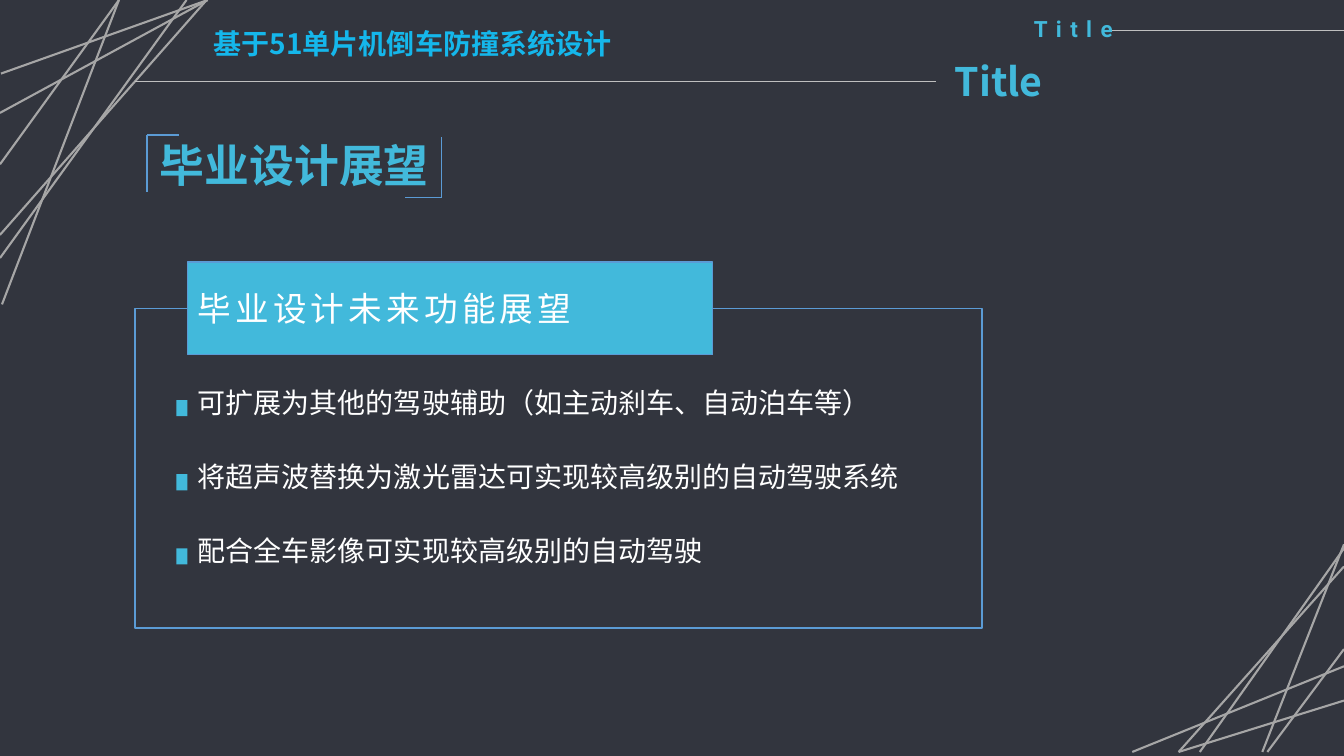
from lxml import etree
from pptx import Presentation
from pptx.dml.color import RGBColor
from pptx.enum.shapes import MSO_CONNECTOR, MSO_SHAPE
from pptx.enum.text import MSO_ANCHOR, MSO_AUTO_SIZE, PP_ALIGN
from pptx.oxml.ns import qn
from pptx.util import Inches, Pt

STRAIGHT = MSO_CONNECTOR.STRAIGHT
RECTANGLE = MSO_SHAPE.RECTANGLE
LEFT, CENTER = PP_ALIGN.LEFT, PP_ALIGN.CENTER
TOP, MIDDLE = MSO_ANCHOR.TOP, MSO_ANCHOR.MIDDLE
NO_FIT = MSO_AUTO_SIZE.NONE

COLORS = {
    "background": "32353E", "cyan": "42B9DB", "topic": "15B7EB",
    "outline": "5B9BD5", "rule": "BFBFBF", "ray": "A6A6A6", "white": "FFFFFF",
}
FONT = "Noto Sans CJK SC"

TOP_LEFT_RAYS = [
    (0, 2.56, 1.85, 0), (0.02, 3.02, 1.18, 0), (0, 2.33, 2.05, 0),
    (0.01, 0.73, 2.06, 0), (0, 1.12, 2.06, 0), (0, 1.63, 1.18, 0),
]
BOTTOM_RIGHT_RAYS = [
    (1.43, 2.06, 0, 0.04), (0.81, 2.06, 0, 0), (1.64, 2.06, 0, 0.22),
    (1.64, 2.06, 0, 1.55), (2.1, 2.06, 0, 1.21), (0.76, 2.06, 0, 1.04),
]
PROSPECTS = [
    "可扩展为其他的驾驶辅助（如主动刹车、自动泊车等）",
    "将超声波替换为激光雷达可实现较高级别的自动驾驶系统",
    "配合全车影像可实现较高级别的自动驾驶",
]


def color(name):
    """Return the palette colour with the given name."""
    return RGBColor.from_string(COLORS[name])


def place(shape, left, top, width, height):
    """Move and size a shape, in inches."""
    shape.left, shape.top = Inches(left), Inches(top)
    shape.width, shape.height = Inches(width), Inches(height)


def write(para, text, size=20, ink="white", bold=False, font=FONT, spacing=0, align=LEFT):
    """Write formatted text into a paragraph."""
    para.alignment = align
    span = para.add_run()
    span.text = text
    span.font.size, span.font.bold, span.font.name = Pt(size), bold, font
    span.font.color.rgb = color(ink)
    properties = span._r.get_or_add_rPr()
    etree.SubElement(properties, qn("a:ea")).set("typeface", FONT)
    if spacing:
        properties.set("spc", str(spacing * 100))


def add_label(page, box, text, **style):
    """Add a text box holding one line."""
    label = page.shapes.add_textbox(*map(Inches, box))
    label.text_frame.word_wrap = True
    write(label.text_frame.paragraphs[0], text, **style)


def add_line(page, x1, y1, x2, y2, ink, weight=1):
    """Draw a straight line without shadow."""
    line = page.shapes.add_connector(STRAIGHT, *map(Inches, (x1, y1, x2, y2)))
    line.line.color.rgb, line.line.width = color(ink), Pt(weight)
    etree.SubElement(line._element.spPr, qn("a:effectLst"))


def add_block(page, box, fill=None, outline=None):
    """Draw a rectangle with optional fill and outline."""
    block = page.shapes.add_shape(RECTANGLE, *map(Inches, box))
    block.shadow.inherit = False
    if fill:
        block.fill.solid()
        block.fill.fore_color.rgb = color(fill)
    else:
        block.fill.background()
    if outline:
        block.line.color.rgb, block.line.width = color(outline), Pt(1)
    else:
        block.line.fill.background()
    return block


def add_rays(page, left, top, rays):
    """Draw a corner bundle of crossing lines."""
    for x1, y1, x2, y2 in rays:
        add_line(page, left + x1, top + y1, left + x2, top + y2, "ray", 1.5)


def add_bottom_right_rays(page, right, top):
    """Draw the lower bundle, measured leftward from the slide edge."""
    rays = [(-x1, y1, -x2, y2) for x1, y1, x2, y2 in BOTTOM_RIGHT_RAYS]
    add_rays(page, right, top, rays)


def add_header(page, left, top, right):
    """Add the topic, the two small titles and their rules."""
    add_label(page, (left + 8.03, top + 0.42, 2.33, 0.57), "Title",
              size=28, ink="cyan", bold=True)
    add_line(page, left, top + 0.71, left + 7.94, top + 0.71, "rule")
    add_line(page, left + 9.69, top + 0.2, right, top + 0.2, "rule")
    add_label(page, (left + 0.68, top + 0.11, 5.05, 0.5), "基于51单片机倒车防撞系统设计",
              ink="topic", bold=True)
    add_label(page, (left + 7.04, top, 4.53, 0.37), "Title", size=16, ink="cyan",
              bold=True, font="Roboto", spacing=6, align=CENTER)


def add_heading(page, left, top, width, height):
    """Set the slide title between two corner brackets."""
    title = page.shapes.title
    place(title, left, top, width, height)
    frame = title.text_frame
    frame.auto_size, frame.word_wrap, frame.vertical_anchor = NO_FIT, False, TOP
    write(frame.paragraphs[0], "毕业设计展望", size=32, ink="cyan", bold=True, align=CENTER)
    right, bottom = left + width, top + height
    brackets = [
        (left, top + 0.02, left + 0.32, top + 0.02),
        (left, top + 0.58, left, top + 0.02),
        (right - 0.36, bottom, right, bottom),
        (right, bottom, right, top + 0.04),
    ]
    for bracket in brackets:
        add_line(page, *bracket, "outline")


def add_prospects(page, left, top, width, height):
    """Add the framed list of prospects with its banner."""
    add_block(page, (left, top, width, height), outline="outline")
    banner = add_block(page, (left + 0.52, top - 0.46, 5.21, 0.92), "cyan", "outline")
    banner.text_frame.vertical_anchor = MIDDLE
    write(banner.text_frame.paragraphs[0], "毕业设计未来功能展望", size=24, spacing=3)

    body = page.placeholders[1]
    place(body, left + 0.52, top + 0.36, width - 0.6, 2.4)
    frame = body.text_frame
    frame.auto_size, frame.word_wrap, frame.vertical_anchor = NO_FIT, True, TOP
    frame.margin_top = 0
    for index, prospect in enumerate(PROSPECTS):
        para = frame.paragraphs[0] if index == 0 else frame.add_paragraph()
        para.line_spacing, para.space_before, para.space_after = Pt(53), Pt(0), Pt(0)
        write(para, prospect)
        properties = para._p.get_or_add_pPr()
        properties.set("marL", "0")
        properties.set("indent", "0")
        etree.SubElement(properties, qn("a:buNone"))
        add_block(page, (left + 0.41, top + 0.91 + index * 0.735, 0.11, 0.16), "cyan")


def build_outlook(deck):
    """Build the outlook slide."""
    page = deck.slides.add_slide(deck.slide_layouts[1])
    page.background.fill.solid()
    page.background.fill.fore_color.rgb = color("background")
    add_rays(page, 0, 0, TOP_LEFT_RAYS)
    add_bottom_right_rays(page, 13.33, 5.4)
    add_header(page, 1.34, 0.1, 13.33)
    add_prospects(page, 1.34, 3.06, 8.4, 3.17)
    add_heading(page, 1.46, 1.32, 2.92, 0.64)


def main():
    """Create and save the deck."""
    deck = Presentation()
    deck.slide_width, deck.slide_height = Inches(13.33), Inches(7.5)
    build_outlook(deck)
    deck.save("out.pptx")


if __name__ == "__main__":
    main()
